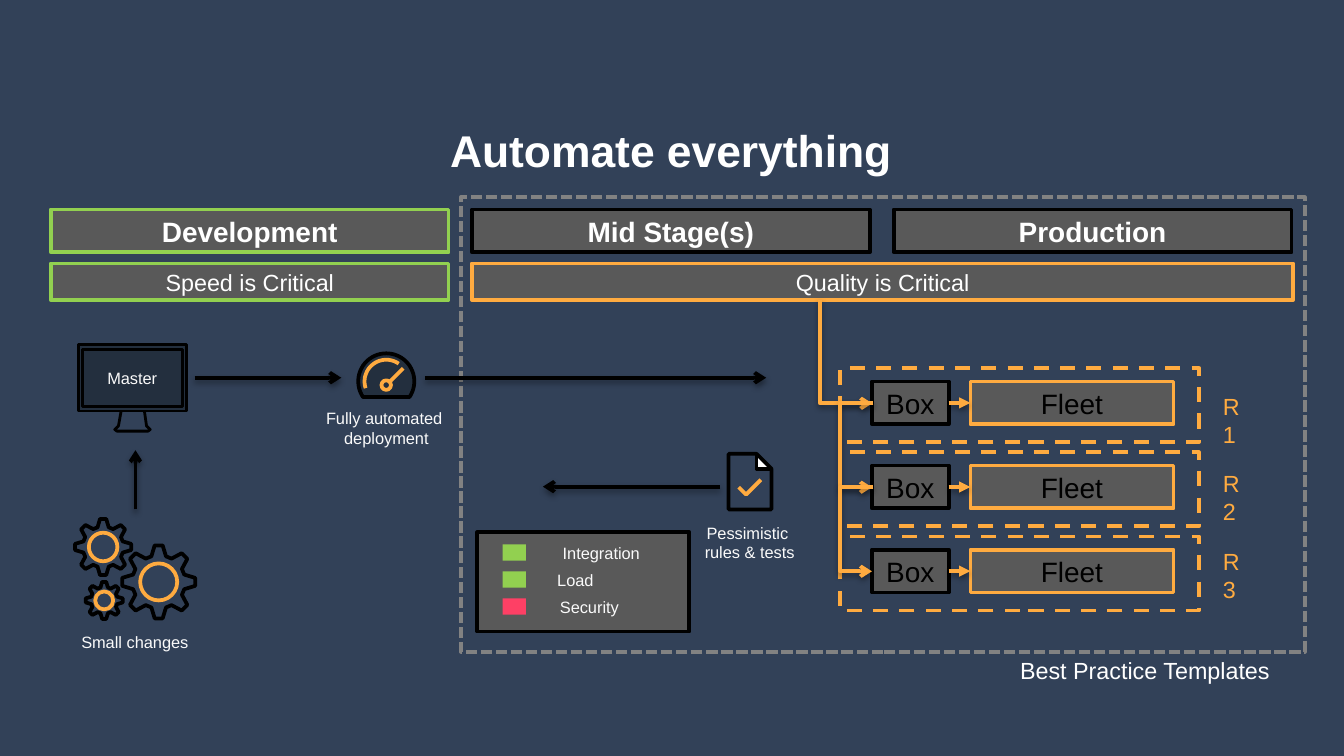
import math
from dataclasses import dataclass

import lxml.etree
import pptx
import pptx.dml.color
import pptx.enum.dml
import pptx.enum.shapes
import pptx.enum.text
import pptx.oxml
import pptx.oxml.ns
import pptx.util

Cm = pptx.util.Cm
Pt = pptx.util.Pt
RGBColor = pptx.dml.color.RGBColor
qn = pptx.oxml.ns.qn
SHAPES = pptx.enum.shapes.MSO_SHAPE
CONNECTORS = pptx.enum.shapes.MSO_CONNECTOR
DASHES = pptx.enum.dml.MSO_LINE
ALIGN = pptx.enum.text.PP_ALIGN
ANCHOR = pptx.enum.text.MSO_ANCHOR

NAVY = RGBColor(0x32, 0x41, 0x58)
INK = RGBColor(0x23, 0x2F, 0x3E)
GRAY = RGBColor(0x59, 0x59, 0x59)
FRAME_GRAY = RGBColor(0x82, 0x82, 0x82)
GREEN = RGBColor(0x92, 0xD0, 0x50)
ORANGE = RGBColor(0xFF, 0xAB, 0x40)
RED = RGBColor(0xFE, 0x40, 0x65)
BLACK = RGBColor(0, 0, 0)
WHITE = RGBColor(0xFF, 0xFF, 0xFF)
OFF_WHITE = RGBColor(0xFA, 0xFA, 0xFA)


@dataclass
class Bar:
    text: str
    left: float
    top: float
    width: float
    height: float
    line: RGBColor
    size: float
    bold: bool = False


@dataclass
class Label:
    text: str
    left: float
    top: float
    width: float
    height: float = 0.38
    size: float = 8.8
    color: RGBColor = OFF_WHITE
    align: ALIGN = ALIGN.CENTER
    wrap: bool = False
    inset: float = 0


@dataclass
class Gear:
    x: float
    y: float
    radius: float
    hub: float


@dataclass
class Legend:
    text: str
    color: RGBColor
    left: float
    width: float


def write_text(shape, text, *, size, color, bold=False, align=ALIGN.CENTER,
               anchor=ANCHOR.MIDDLE, insets=(0, 0.08), wrap=True):
    frame = shape.text_frame
    frame.margin_left = frame.margin_right = Cm(insets[0])
    frame.margin_top = frame.margin_bottom = Cm(insets[1])
    frame.word_wrap = wrap
    frame.vertical_anchor = anchor
    frame.text = text
    for paragraph in frame.paragraphs:
        paragraph.alignment = align
        paragraph.font.name = "Arial"
        paragraph.font.size = Pt(size)
        paragraph.font.bold = bold
        paragraph.font.color.rgb = color


def style(shape, fill=None, line=None, weight=2, dash=None):
    shape.shadow.inherit = False
    if fill is None:
        shape.fill.background()
    else:
        shape.fill.solid()
        shape.fill.fore_color.rgb = fill
    if line is None:
        shape.line.fill.background()
    else:
        shape.line.color.rgb = line
        shape.line.width = Pt(weight)
        shape.line.dash_style = dash
    return shape


def add_preset(slide, kind, left, top, width, height, **look):
    shape = slide.shapes.add_shape(kind, Cm(left), Cm(top), Cm(width), Cm(height))
    return style(shape, **look)


def add_bar(slide, bar: Bar, color=WHITE):
    shape = add_preset(slide, SHAPES.RECTANGLE, bar.left, bar.top, bar.width,
                       bar.height, fill=GRAY, line=bar.line)
    write_text(shape, bar.text, size=bar.size, color=color, bold=bar.bold)
    return shape


def add_label(slide, label: Label):
    box = slide.shapes.add_textbox(Cm(label.left), Cm(label.top),
                                   Cm(label.width), Cm(label.height))
    write_text(box, label.text, size=label.size, color=label.color, align=label.align,
               anchor=ANCHOR.TOP, insets=(label.inset, label.inset / 2), wrap=label.wrap)


def add_outline(slide, points, close=True, **look):
    corners = [(Cm(x), Cm(y)) for x, y in points]
    builder = slide.shapes.build_freeform(*corners[0])
    builder.add_line_segments(corners[1:], close=close)
    return style(builder.convert_to_shape(), **look)


def add_line(slide, start, end, color=BLACK, head=None, kind=CONNECTORS.STRAIGHT):
    line = slide.shapes.add_connector(kind, Cm(start[0]), Cm(start[1]),
                                      Cm(end[0]), Cm(end[1]))
    line.line.color.rgb = color
    line.line.width = Pt(2)
    properties = line._element.spPr
    effects = lxml.etree.SubElement(properties, qn("a:effectLst"))
    if head:
        outline = properties.find(qn("a:ln"))
        lxml.etree.SubElement(outline, qn("a:tailEnd"), type=head)
        shadow = lxml.etree.SubElement(effects, qn("a:outerShdw"), blurRad="40000",
                                       dist="20000", dir="5400000", rotWithShape="0")
        tint = lxml.etree.SubElement(shadow, qn("a:srgbClr"), val="000000")
        lxml.etree.SubElement(tint, qn("a:alpha"), val="38000")
    return line


def arc(x, y, radius, start, end, steps=40):
    angles = [math.radians(start + (end - start) * i / steps) for i in range(steps + 1)]
    return [(x + radius * math.cos(a), y + radius * math.sin(a)) for a in angles]


def box_points(left, top, right, bottom):
    return [(left, top), (right, top), (right, bottom), (left, bottom)]


def add_gear(slide, gear: Gear):
    tooth = [(-0.2, 0.7), (-0.11, 1), (0.11, 1), (0.2, 0.7)]
    points = []
    for i in range(8):
        c, s = math.cos(i * math.pi / 4), math.sin(i * math.pi / 4)
        points += [(gear.x + gear.radius * (out * c - side * s),
                    gear.y + gear.radius * (out * s + side * c)) for side, out in tooth]
    add_outline(slide, points, line=BLACK)
    add_preset(slide, SHAPES.OVAL, gear.x - gear.hub, gear.y - gear.hub,
               2 * gear.hub, 2 * gear.hub, line=ORANGE)


def add_regions(slide):
    first, pitch, middle = 7.21, 1.59, 0.41
    for i in range(3):
        top = first + i * pitch
        box = add_bar(slide, Bar("Box", 16.48, top, 1.45, 0.81, BLACK, 15), BLACK)
        fleet = add_bar(slide, Bar("Fleet", 18.34, top, 3.84, 0.81, ORANGE, 15), BLACK)
        add_preset(slide, SHAPES.RECTANGLE, 15.88, top - 0.25, 6.78, 1.4,
                   line=ORANGE, dash=DASHES.DASH)
        add_label(slide, Label(f"R{i + 1}", 22.86, 7.29 + 1.46 * i, 1.04, 0.79, 12.5,
                               ORANGE, ALIGN.LEFT, True, 0.25))
        link = add_line(slide, (17.93, top + middle), (18.34, top + middle),
                        ORANGE, "triangle")
        link.begin_connect(box, 3)
        link.end_connect(fleet, 1)

    # Feed from the quality bar: down, then right
    feed = add_line(slide, (16.97, 6.15), (15.01, 7.14), ORANGE, "arrow", CONNECTORS.ELBOW)
    feed._element.spPr.find(qn("a:xfrm")).set("rot", "16200000")
    feed._element.spPr.find(qn("a:prstGeom")).set("prst", "bentConnector2")

    # Branches between neighbouring boxes loop out to the left
    for i in range(2):
        y = first + middle + i * pitch
        branch = add_line(slide, (16.51, y), (16.48, y + pitch), ORANGE, "arrow",
                          CONNECTORS.ELBOW)
        guides = branch._element.spPr.find(qn("a:prstGeom")).get_or_add_avLst()
        lxml.etree.SubElement(guides, qn("a:gd"), name="adj1", fmla="val 2100000")


def main():
    presentation = pptx.Presentation()
    presentation.slide_width, presentation.slide_height = Cm(25.4), Cm(14.29)
    slide = presentation.slides.add_slide(presentation.slide_layouts[5])
    slide.background.fill.solid()
    slide.background.fill.fore_color.rgb = NAVY

    # Title
    title = slide.shapes.title
    title.left, title.top, title.width, title.height = Cm(0.94), Cm(2.24), Cm(23.47), Cm(1.57)
    write_text(title, "Automate everything", size=23.8, color=WHITE, bold=True,
               anchor=ANCHOR.TOP, insets=(0.15, 0.08))

    # Stage frame and header bars
    add_preset(slide, SHAPES.RECTANGLE, 8.71, 3.73, 15.95, 8.59,
               line=FRAME_GRAY, dash=DASHES.SQUARE_DOT)
    for bar in (Bar("Development", 0.96, 3.96, 7.52, 0.81, GREEN, 15, True),
                Bar("Mid Stage(s)", 8.92, 3.96, 7.52, 0.81, BLACK, 15, True),
                Bar("Production", 16.89, 3.96, 7.52, 0.81, BLACK, 15, True),
                Bar("Speed is Critical", 0.96, 4.98, 7.52, 0.69, GREEN, 12.5),
                Bar("Quality is Critical", 8.92, 4.98, 15.52, 0.69, ORANGE, 12.5)):
        add_bar(slide, bar)

    add_regions(slide)

    # Test legend
    add_preset(slide, SHAPES.RECTANGLE, 9.02, 10.06, 4.01, 1.88, fill=GRAY, line=BLACK)
    for i, entry in enumerate((Legend("Integration", GREEN, 10.26, 2.21),
                               Legend("Load", GREEN, 10.39, 0.97),
                               Legend("Security", RED, 10.34, 1.6))):
        add_preset(slide, SHAPES.RECTANGLE, 9.5, 10.29 + 0.51 * i, 0.44, 0.31,
                   fill=entry.color)
        add_label(slide, Label(entry.text, entry.left, 10.26 + 0.51 * i, entry.width, wrap=True))

    # Monitor
    add_outline(slide, [(2.29, 7.77), (2.24, 8.05), (2.17, 8.12), (2.21, 8.15), (2.8, 8.15),
                        (2.84, 8.12), (2.77, 8.05), (2.73, 7.77)],
                close=False, line=BLACK, weight=1.5)
    add_outline(slide, box_points(1.48, 6.51, 3.53, 7.77), fill=INK, line=BLACK, weight=1.5)
    add_outline(slide, box_points(1.56, 6.6, 3.45, 7.69), line=BLACK, weight=1.5)

    # Gears
    for gear in (Gear(1.95, 10.34, 0.53, 0.27), Gear(3, 11, 0.69, 0.35),
                 Gear(1.97, 11.35, 0.35, 0.17)):
        add_gear(slide, gear)

    # Gauge
    add_outline(slide, arc(7.3, 7.21, 0.53, 146, 394), fill=INK, line=BLACK)
    add_outline(slide, arc(7.3, 7.21, 0.41, 162, 305), close=False, line=ORANGE)
    add_preset(slide, SHAPES.OVAL, 7.21, 7.19, 0.18, 0.18, line=ORANGE)
    add_line(slide, (7.37, 7.21), (7.62, 6.96), ORANGE)

    # Checked document
    add_outline(slide, [(14.3, 8.61), (14.3, 8.86), (14.58, 8.86)],
                close=False, fill=WHITE, line=BLACK)
    add_outline(slide, [(14.58, 8.86), (14.3, 8.58), (13.77, 8.58), (13.77, 9.63),
                        (14.58, 9.63)], line=BLACK)
    add_outline(slide, [(13.96, 9.21), (14.1, 9.35), (14.38, 9.07)], close=False, line=ORANGE)

    # Captions
    for label in (Label("Master", 1.8, 6.96, 1.4),
                  Label("Small changes", 1.43, 11.94, 2.24),
                  Label("Fully automated \vdeployment", 6.15, 7.72, 2.31, 0.74),
                  Label("Pessimistic \nrules & tests", 13.22, 9.88, 1.9, 0.74),
                  Label("Best Practice Templates", 19.28, 12.4, 5, 0.53, 12.5, WHITE,
                        ALIGN.LEFT)):
        add_label(slide, label)

    # Flow arrows
    for start, end in (((3.68, 7.14), (6.45, 7.14)), ((2.56, 9.63), (2.56, 8.51)),
                       ((8.03, 7.14), (14.48, 7.14)), ((13.61, 9.2), (10.26, 9.2))):
        add_line(slide, start, end, head="arrow")

    presentation.save("out.pptx")


if __name__ == "__main__":
    main()
